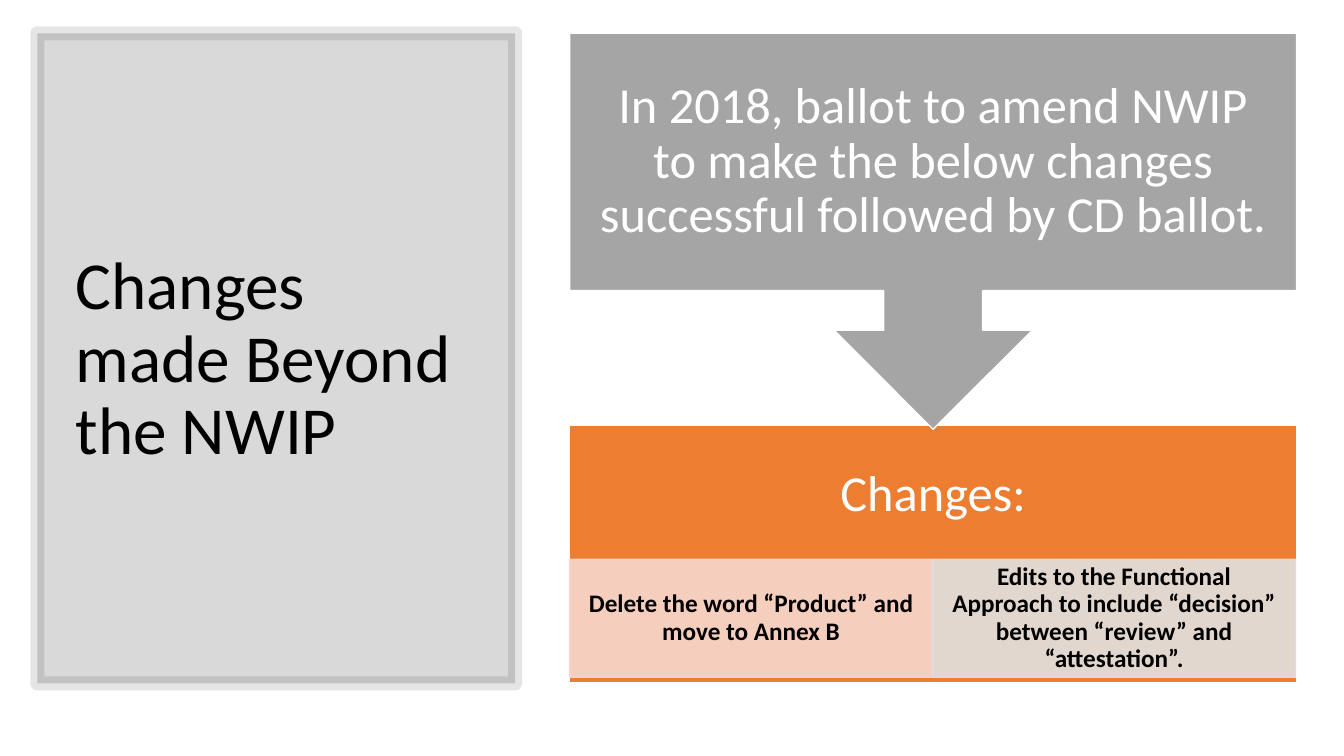
from dataclasses import dataclass

from lxml.etree import SubElement
from pptx import Presentation
from pptx.dml.color import RGBColor
from pptx.enum.shapes import MSO_SHAPE
from pptx.enum.text import MSO_ANCHOR, MSO_AUTO_SIZE, PP_ALIGN
from pptx.oxml.ns import qn
from pptx.shapes.autoshape import Shape
from pptx.slide import Slide
from pptx.util import Emu, Pt

PX = 9144
COLOURS = {
    "black": "000000", "white": "FFFFFF", "orange": "ED7D31",
    "grey": "A5A5A5", "peach": "F8D7CE", "silver": "E1E1E1",
}
COLUMN_LEFT, COLUMN_WIDTH = 565, 721
CELL_TOP, CELL_WIDTH, CELL_HEIGHT = 555, 360, 117


@dataclass(frozen=True)
class Block:
    """One filled shape with its outline and centred text."""
    place: tuple[int, int, int, int]
    fill: str
    line: str
    text: str = ""
    size: int = 36
    colour: str = "white"
    bold: bool = False
    insets: tuple[int, int, int, int] = (28, 28, 28, 28)
    kind: MSO_SHAPE = MSO_SHAPE.RECTANGLE
    line_width: int = 1
    fill_opacity: int = 100
    line_opacity: int = 100


def cell(column: int, colour: str, text: str) -> Block:
    """Describe one change in the row at the foot of the orange box."""
    place = (COLUMN_LEFT + column * CELL_WIDTH, CELL_TOP, CELL_WIDTH, CELL_HEIGHT)
    return Block(place, colour, colour, text, size=18, colour="black", bold=True,
                 insets=(14, 3, 14, 3), fill_opacity=90, line_opacity=90)


BLOCKS = [
    Block((37, 33, 474, 645), "black", "black",
          line_width=10, fill_opacity=15, line_opacity=10),
    Block((COLUMN_LEFT, 422, COLUMN_WIDTH, 255), "orange", "white", "Changes:",
          insets=(28, 28, 28, 145)),
    cell(0, "peach", "Delete the word “Product” and move to Annex B"),
    cell(1, "silver", "Edits to the Functional Approach to include “decision” "
                      "between “review” and “attestation”."),
    Block((COLUMN_LEFT, 33, COLUMN_WIDTH, 393), "grey", "white",
          "In 2018, ballot to amend NWIP to make the below changes "
          "successful followed by CD ballot.", kind=MSO_SHAPE.DOWN_ARROW_CALLOUT),
]


def rgb(name: str) -> RGBColor:
    """Look up a named colour."""
    return RGBColor.from_string(COLOURS[name])


def set_opacity(box: Shape, fill: int, line: int) -> None:
    """Give the fill and the outline their opacity in percent."""
    properties = box.element.spPr
    for owner, percent in ((properties, fill), (properties.find(qn("a:ln")), line)):
        if percent < 100:
            colour = owner.find(qn("a:solidFill"))[0]
            SubElement(colour, qn("a:alpha"), val=str(percent * 1000))


def write(box: Shape, text: str, size: int, colour: str, bold: bool,
          align: PP_ALIGN, insets: tuple[int, int, int, int]) -> None:
    """Fill a shape with one formatted paragraph."""
    frame = box.text_frame
    frame.text = text
    para = frame.paragraphs[0]
    left, top, right, bottom = (Emu(inset * PX) for inset in insets)
    formats = {
        frame: {"word_wrap": True, "auto_size": MSO_AUTO_SIZE.NONE,
                "vertical_anchor": MSO_ANCHOR.MIDDLE,
                "margin_left": left, "margin_top": top,
                "margin_right": right, "margin_bottom": bottom},
        para: {"alignment": align, "line_spacing": 0.9},
        para.runs[0].font: {"name": "Calibri", "size": Pt(size), "bold": bold},
    }
    for target, values in formats.items():
        for name, value in values.items():
            setattr(target, name, value)
    para.runs[0].font.color.rgb = rgb(colour)


def draw(page: Slide, block: Block) -> None:
    """Draw one block on the page."""
    box = page.shapes.add_shape(block.kind, *(Emu(px * PX) for px in block.place))
    box.shadow.inherit = False
    box.fill.solid()
    box.fill.fore_color.rgb = rgb(block.fill)
    box.line.color.rgb = rgb(block.line)
    box.line.width = Pt(block.line_width)
    set_opacity(box, block.fill_opacity, block.line_opacity)
    if block.text:
        write(box, block.text, block.size, block.colour, block.bold,
              PP_ALIGN.CENTER, block.insets)


def add_title(page: Slide) -> None:
    """Place the title in front of its panel."""
    title = page.shapes.title
    place = {"left": 65, "top": 70, "width": 412, "height": 575}
    for name, px in place.items():
        setattr(title, name, Emu(px * PX))
    write(title, "Changes made Beyond the NWIP", 48, "black", False,
          PP_ALIGN.LEFT, (10, 5, 10, 5))
    title.element.getparent().append(title.element)


def main() -> None:
    """Build the deck and save it."""
    deck = Presentation()
    deck.slide_width, deck.slide_height = Emu(1333 * PX), Emu(750 * PX)
    page = deck.slides.add_slide(deck.slide_layouts[5])
    for block in BLOCKS:
        draw(page, block)
    add_title(page)
    deck.save("out.pptx")


if __name__ == "__main__":
    main()
